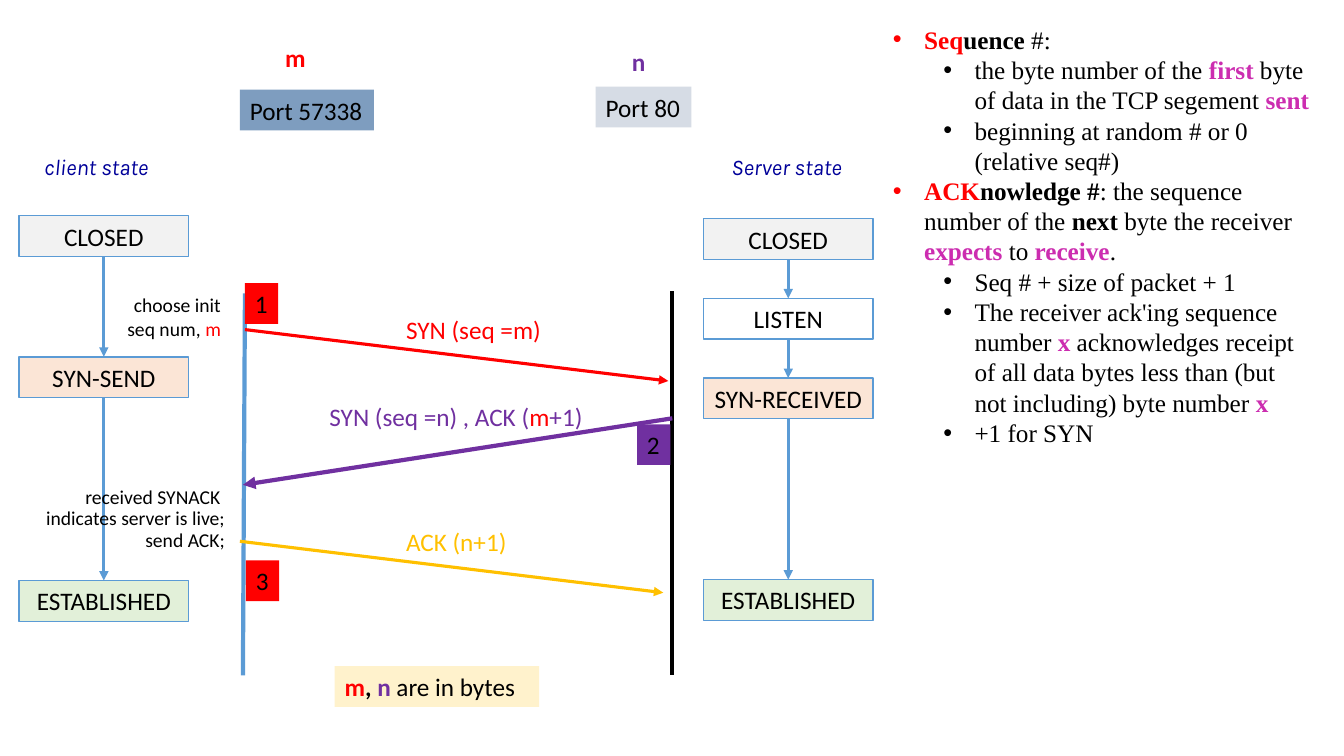
"""Draw the TCP three-way handshake with client and server states."""
from pptx import Presentation
from pptx.dml.color import RGBColor as Rgb
from pptx.enum.shapes import MSO_CONNECTOR as Conn, MSO_SHAPE as Form
from pptx.enum.text import MSO_AUTO_SIZE as Fit, PP_ALIGN as Align
from pptx.oxml.ns import qn
from pptx.util import Inches, Pt
from lxml.etree import SubElement as Sub

THEME = dict(
    red="FF0000", plum="7030A0", gold="FFC000", pink="CC2DB0", navy="000099",
    blue="5B9BD5", black="000000", white="FFFFFF", grey="F2F2F2",
    peach="FBE5D6", green="E2F0D9", steel="7E9DBF", mist="D6DCE5", cream="FFF2CC",
    body=18, state=16, note=14, sans="Calibri", serif="Times New Roman", title="Karla",
)
CELL = Inches(0.1)
COLS, ROWS = 133.33, 75
HIGH = 4.04

deck = Presentation()
deck.slide_width, deck.slide_height = round(COLS * CELL), round(ROWS * CELL)
slide = deck.slides.add_slide(deck.slide_layouts[6])


def tint(name):
    return Rgb.from_string(THEME[name])


def write(text, box, tone="black", size="body", font="sans", bold=False, slant=False,
          align=Align.LEFT, wrap=False, fill=None, edge=None, lead=None, dots=None):
    """Put text, a string or a list of paragraphs of (words, tone, bold), in a grid box."""
    area = [round(n * CELL) for n in box]
    if fill:
        shape = slide.shapes.add_shape(Form.RECTANGLE, *area)
        shape.shadow.inherit = False
        shape.fill.solid()
        shape.fill.fore_color.rgb = tint(fill)
        if edge:
            shape.line.color.rgb = tint(edge)
            shape.line.width = Pt(1)
        else:
            shape.line.fill.background()
    else:
        shape = slide.shapes.add_textbox(*area)
    frame = shape.text_frame
    frame.word_wrap = wrap
    frame.auto_size = Fit.SHAPE_TO_FIT_TEXT
    paras = [[(text, tone, bold)]] if isinstance(text, str) else text
    for i, runs in enumerate(paras):
        para = frame.add_paragraph() if i else frame.paragraphs[0]
        para.alignment = align
        if lead:
            para.line_spacing = lead
        if dots:
            para.level = dots[i]
            props = para._p.get_or_add_pPr()
            props.set("marL", str(Inches(0.31 + 0.5 * dots[i])))
            props.set("indent", str(-Inches(0.31)))
            Sub(props, qn("a:buFont")).set("typeface", "Arial")
            Sub(props, qn("a:buChar")).set("char", "•")
        for words, hue, heavy in runs:
            run = para.add_run()
            run.text = words
            run.font.name, run.font.size = THEME[font], Pt(THEME[size])
            run.font.bold, run.font.italic = heavy, slant
            run.font.color.rgb = tint(hue)
    return shape


def link(start, end, tone, width, head=True):
    """Draw a straight line between two grid points."""
    ends = [round(n * CELL) for n in (*start, *end)]
    line = slide.shapes.add_connector(Conn.STRAIGHT, *ends)
    line.line.color.rgb = tint(tone)
    line.line.width = Pt(width)
    if head:
        Sub(line.line._get_or_add_ln(), qn("a:tailEnd")).set("type", "triangle")
    Sub(line._element.spPr, qn("a:effectLst"))
    return line


link((24.3, 29.1), (24.1, 67), "blue", 3, head=False)
link((66.7, 28.9), (66.7, 67), "black", 3, head=False)
link((24.3, 32.7), (66.3, 37.8), "red", 2.25)
link((66.7, 41.5), (24.1, 48.1), "plum", 3)
link((23.8, 53.7), (65.8, 58.8), "gold", 2.25)

write("SYN (seq =m)", (39.3, 30.7, 15.6, HIGH), tone="red")
write([[("SYN (seq =n) , ACK (", "plum", False), ("m", "red", False), ("+1)", "plum", False)]],
      (31.7, 39.3, 27.4, HIGH))
write("ACK (n+1)", (39.3, 51.7, 12.1, HIGH), tone="gold")

server = [("CLOSED", 21.7, "grey"), ("LISTEN", 29.6, "white"),
          ("SYN-RECEIVED", 37.5, "peach"), ("ESTABLISHED", 57.5, "green")]
client = [("CLOSED", 21.4, "grey"), ("SYN-SEND", 35.4, "peach"), ("ESTABLISHED", 57.6, "green")]
for left, states in ((69.8, server), (1.9, client)):
    prior = None
    for name, top, fill in states:
        state = write(name, (left, top, 16.8, HIGH), align=Align.CENTER,
                      wrap=name != "SYN-RECEIVED", fill=fill, edge="blue")
        if prior:
            step = link((left, top), (left, top), "blue", 2.25)
            step.begin_connect(prior, 2)
            step.end_connect(state, 0)
        prior = state

write("Port 57338", (23.8, 8.9, 13.3, HIGH), fill="steel")
write("Port 80", (59.1, 8.6, 9.5, HIGH), fill="mist")

facts = [
    (0, [("Seq", "red", True), ("uence", "black", True), (" #:", "black", False)]),
    (1, [("the byte number of the ", "black", False), ("first", "pink", True),
         (" byte of data in the TCP segement ", "black", False), ("sent", "pink", True)]),
    (1, [("beginning at random # or 0 (relative seq#)", "black", False)]),
    (0, [("ACK", "red", True), ("nowledge #", "black", True),
         (": the sequence number of the ", "black", False), ("next", "black", True),
         (" byte the receiver ", "black", False), ("expects", "pink", True),
         (" to ", "black", False), ("receive", "pink", True), (".", "black", False)]),
    (1, [("Seq # + size of packet + 1", "black", False)]),
    (1, [("The receiver ack'ing sequence number ", "black", False), ("x", "pink", True),
         (" acknowledges receipt of all data bytes less than (but not including) byte number ",
          "black", False), ("x", "pink", True)]),
    (1, [("+1 for SYN", "black", False)]),
]
write([runs for _, runs in facts], (87.6, 1.9, 43.3, 46.4), font="serif", wrap=True,
      dots=[level for level, _ in facts])

write([[("m", "red", True), (", ", "black", True), ("n", "plum", True),
        (" are in bytes", "black", False)]], (33.2, 66.1, 20.3, HIGH), fill="cream")
write([[("choose init seq num, ", "black", False), ("m", "red", False)]],
      (11.4, 28.6, 11.5, 5.7), size="note", align=Align.RIGHT, wrap=True)
notes = ["received SYNACK ", "indicates server is live;", "send ACK;"]
write([[(note, "black", False)] for note in notes], (2.4, 47.9, 20.9, 7.4),
      size="note", align=Align.RIGHT, wrap=True, lead=0.9)

for name, left, width in (("client state", 2.9, 12.8), ("Server state", 70.6, 13.9)):
    write(name, (left, 14.7, width, 3.7), tone="navy", size="state", font="title",
          slant=True, align=Align.RIGHT)
for mark, left, top, fill in (("1", 24.3, 28.1, "red"), ("2", 63.2, 42.1, "plum"),
                              ("3", 24.4, 55.6, "red")):
    write(mark, (left, top, 3.3, HIGH), fill=fill)
for name, left, top, width, tone in (("m", 27.3, 3.7, 5.6, "red"), ("n", 61.7, 4.1, 4.1, "plum")):
    write(name, (left, top, width, HIGH), tone=tone, bold=True, wrap=True)

deck.save("out.pptx")
